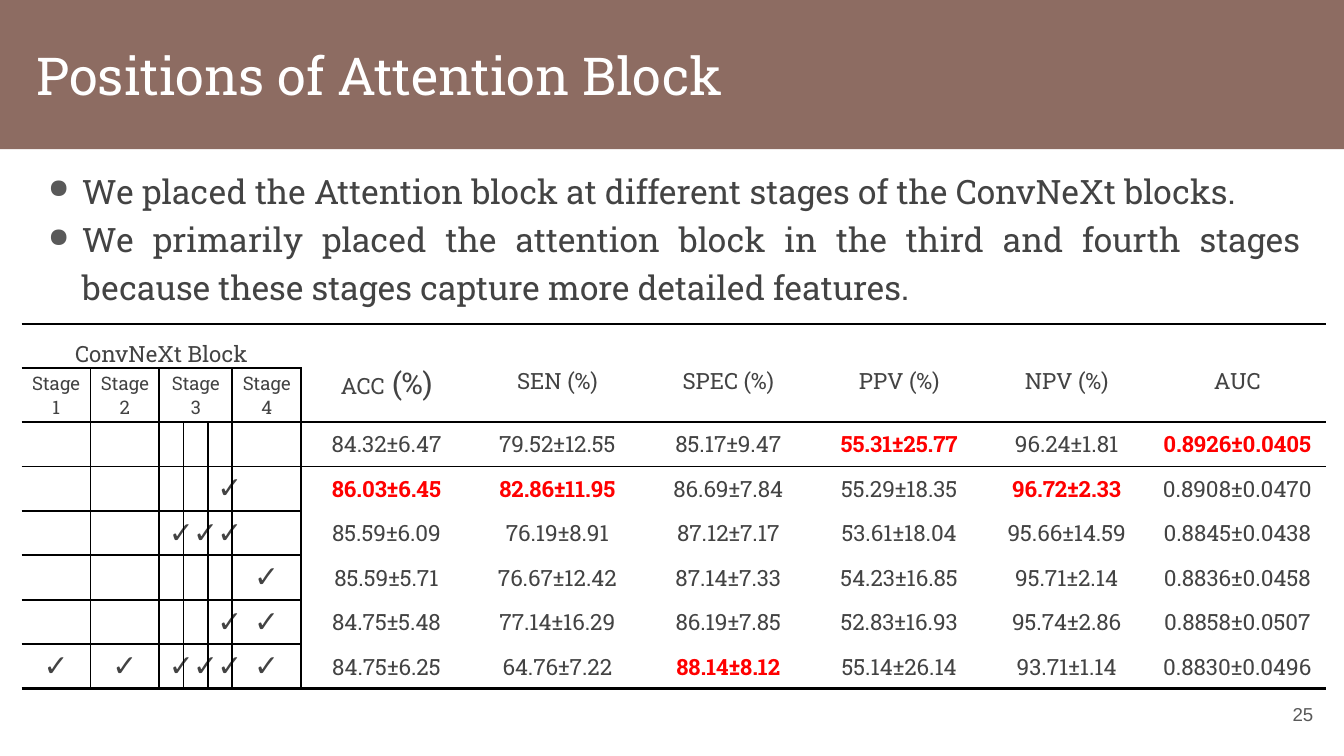
"""Build the slide on positions of the attention block."""
from lxml import etree
from pptx import Presentation
from pptx.dml.color import RGBColor
from pptx.enum.shapes import MSO_SHAPE
from pptx.enum.text import MSO_ANCHOR as ANCHOR, PP_ALIGN as ALIGN
from pptx.oxml import parse_xml
from pptx.oxml.ns import nsdecls, qn
from pptx.util import Cm, Pt


def color(value):
    return RGBColor.from_string(value)


def write(p, text, size=12, fill="434343", font="Roboto Slab", bold=False,
          align=ALIGN.CENTER, spacing=None):
    p.alignment = align
    p.line_spacing = spacing
    r = p.add_run()
    r.text = text
    r.font.size = Pt(size)
    r.font.name = font
    r.font.bold = bold
    r.font.color.rgb = color(fill)


prs = Presentation()
prs.slide_width, prs.slide_height = Cm(25.4), Cm(14.29)
s = prs.slides.add_slide(prs.slide_layouts[6])

sp = s.shapes.add_shape(MSO_SHAPE.RECTANGLE, 0, 0, Cm(25.4), Cm(2.82))
sp.shadow.inherit = False
sp.fill.solid()
sp.fill.fore_color.rgb = color("8D6C62")
sp.line.fill.background()
tf = sp.text_frame
tf.vertical_anchor = ANCHOR.MIDDLE
tf.margin_left = Cm(0.7)
write(tf.paragraphs[0], "Positions of Attention Block", size=28,
      fill="FFFFFF", align=ALIGN.LEFT)

bullets = [
    "We placed the Attention block at different stages of the ConvNeXt blocks.",
    "We primarily placed the attention block in the third and fourth stages "
    "because these stages capture more detailed features.",
]
sp = s.shapes.add_textbox(Cm(0.66), Cm(2.82), Cm(24.18), Cm(3.3))
tf = sp.text_frame
tf.word_wrap = True
tf.margin_left = tf.margin_right = tf.margin_top = tf.margin_bottom = Cm(0.25)
for i, text in enumerate(bullets):
    p = tf.add_paragraph() if i else tf.paragraphs[0]
    write(p, text, size=18, align=ALIGN.JUSTIFY, spacing=1.2)
    pPr = p._p.get_or_add_pPr()
    pPr.set("marL", str(Cm(0.64)))
    pPr.set("indent", str(-Cm(0.64)))
    clr = etree.SubElement(pPr, qn("a:buClr"))
    etree.SubElement(clr, qn("a:srgbClr"), val="595959")
    etree.SubElement(pPr, qn("a:buSzPct"), val="80000")
    etree.SubElement(pPr, qn("a:buChar"), char="●")

sp = s.shapes.add_textbox(Cm(23.55), Cm(12.95), Cm(1.52), Cm(1.09))
tf = sp.text_frame
tf.word_wrap = True
tf.vertical_anchor = ANCHOR.MIDDLE
write(tf.paragraphs[0], "25", size=10, fill="595959", font="Arial",
      align=ALIGN.RIGHT)

metrics = ["ACC", "SEN (%)", "SPEC (%)", "PPV (%)", "NPV (%)", "AUC"]
stages = {0: "Stage1", 1: "Stage2", 2: "Stage3", 5: "Stage4"}
results = [
    ("", "84.32±6.47 79.52±12.55 85.17±9.47 55.31±25.77 96.24±1.81 0.8926±0.0405"),
    ("4", "86.03±6.45 82.86±11.95 86.69±7.84 55.29±18.35 96.72±2.33 0.8908±0.0470"),
    ("234", "85.59±6.09 76.19±8.91 87.12±7.17 53.61±18.04 95.66±14.59 0.8845±0.0438"),
    ("5", "85.59±5.71 76.67±12.42 87.14±7.33 54.23±16.85 95.71±2.14 0.8836±0.0458"),
    ("45", "84.75±5.48 77.14±16.29 86.19±7.85 52.83±16.93 95.74±2.86 0.8858±0.0507"),
    ("012345", "84.75±6.25 64.76±7.22 88.14±8.12 55.14±26.14 93.71±1.14 0.8830±0.0496"),
]
best = {"86.03±6.45", "82.86±11.95", "88.14±8.12", "55.31±25.77",
        "96.72±2.33", "0.8926±0.0405"}
widths = [1.3] * 2 + [0.46] * 3 + [1.3] + [3.23] * 4 + [3.1, 3.35]
rows, cols, split = len(results) + 2, len(widths), 6

frame = s.shapes.add_table(rows, cols, Cm(0.41), Cm(6.12),
                           Cm(sum(widths)), Cm(0.84 * rows))
tbl = frame.table
tbl.first_row = tbl.horz_banding = False
tbl._tbl.tblPr.find(qn("a:tableStyleId")).text = "{2D5ABB26-0587-4C30-8999-92F81FD0307C}"
for col, width in zip(tbl.columns, widths):
    col.width = Cm(width)
for row in tbl.rows:
    row.height = Cm(0.84)

for i in range(rows):
    for j in range(cols):
        cell = tbl.cell(i, j)
        cell.vertical_anchor = ANCHOR.MIDDLE
        cell.margin_left = cell.margin_right = Cm(0.18)
        cell.margin_top = cell.margin_bottom = 0
        left = j < split
        lines = {}
        if left and i and j:
            lines["L"] = 1
        if left and i and j < split - 1:
            lines["R"] = 1
        if i == 0:
            lines["T"] = 1.5
        elif left or i == 2:
            lines["T"] = 1
        if i == rows - 1:
            lines["B"] = 1.5
        elif left or i == 1:
            lines["B"] = 1
        for side, width in lines.items():
            cell._tc.get_or_add_tcPr().append(parse_xml(
                f'<a:ln{side} {nsdecls("a")} w="{Pt(width)}"><a:solidFill>'
                f'<a:srgbClr val="000000"/></a:solidFill></a:ln{side}>'))
        cell.fill.background()

tbl.cell(0, 0).merge(tbl.cell(0, split - 1))
tbl.cell(1, 2).merge(tbl.cell(1, 4))
write(tbl.cell(0, 0).text_frame.paragraphs[0], "ConvNeXt Block", spacing=1.5)
for j, text in stages.items():
    write(tbl.cell(1, j).text_frame.paragraphs[0], text, size=10)
for j, text in enumerate(metrics, split):
    tbl.cell(0, j).merge(tbl.cell(1, j))
    write(tbl.cell(0, j).text_frame.paragraphs[0], text, spacing=1.5)
write(tbl.cell(0, split).text_frame.paragraphs[0], " (%)", size=16, spacing=1.5)

for i, (checks, values) in enumerate(results, 2):
    for j in checks:
        write(tbl.cell(i, int(j)).text_frame.paragraphs[0], "✓", size=16, font="Arial")
    for j, text in enumerate(values.split(), split):
        top = text in best
        write(tbl.cell(i, j).text_frame.paragraphs[0], text, bold=top,
              fill="FF0000" if top else "434343")

prs.save("out.pptx")
